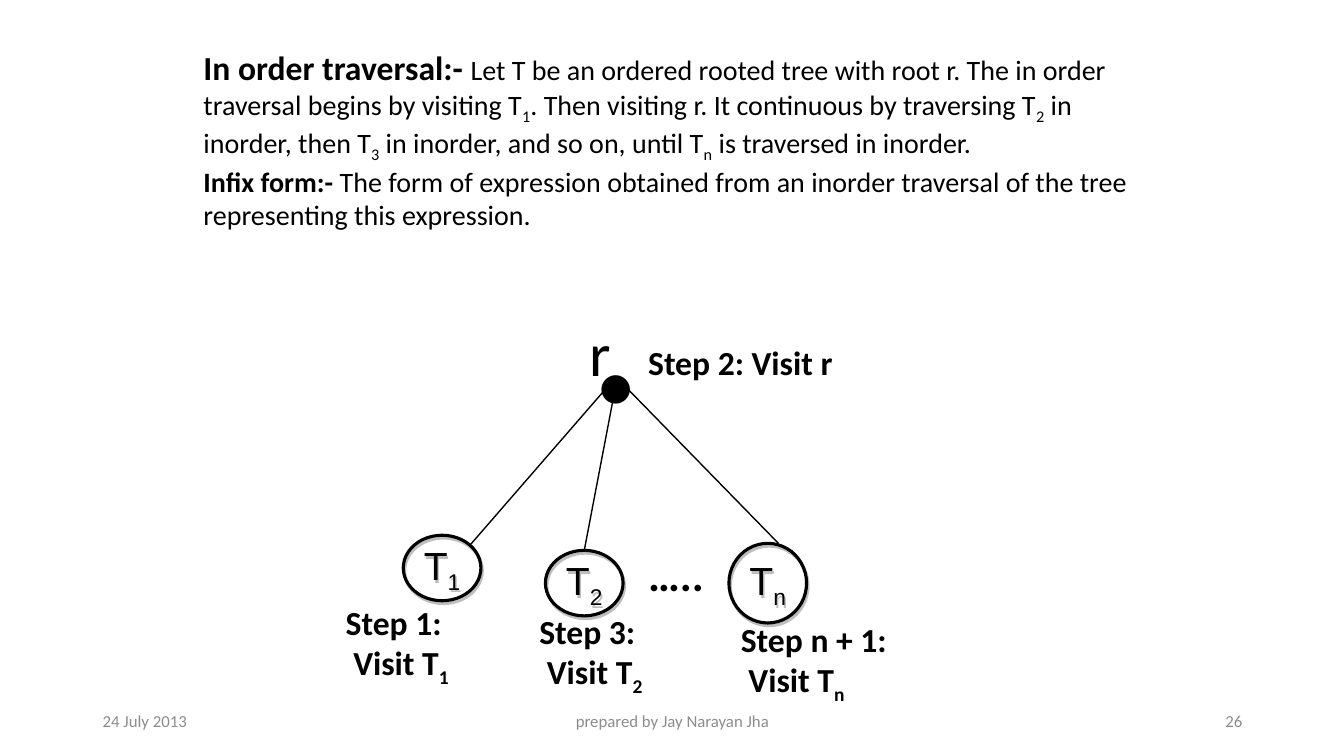
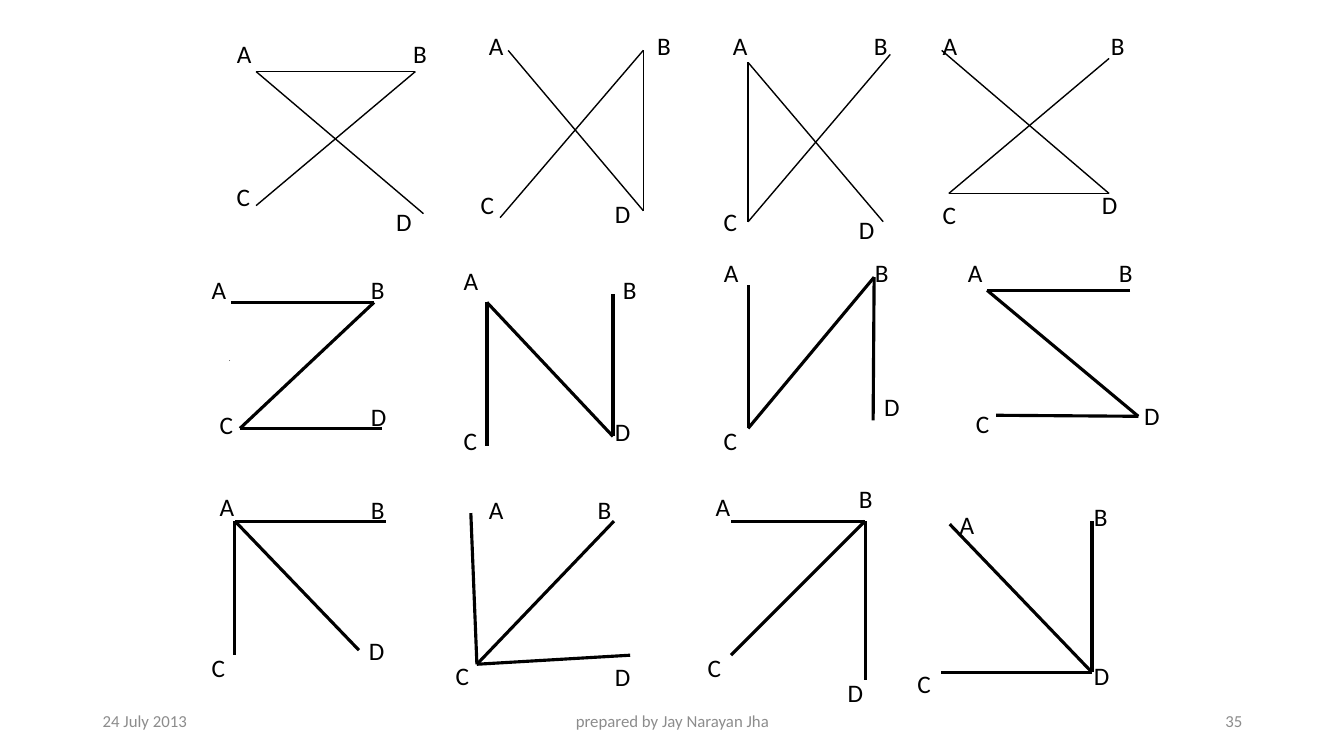
from pptx import Presentation
from pptx.dml.color import RGBColor
from pptx.enum.shapes import MSO_CONNECTOR, MSO_SHAPE
from pptx.enum.text import MSO_ANCHOR, MSO_AUTO_SIZE, PP_ALIGN
from pptx.oxml import parse_xml
from pptx.oxml.ns import nsdecls, qn
from pptx.util import Inches, Pt
from lxml import etree

COLORS = {"ink": "000000", "footer": "8C8C8C", "shadow": "7F7F7F"}
FONT = "Calibri"


def write_text(shape, text, size=18, bold=False, color="ink", font=FONT, align=PP_ALIGN.LEFT,
               anchor=MSO_ANCHOR.TOP, wrap=False, fit=True, inset=None, spacing=None, leads=()):
    """Newlines split paragraphs, ~ encloses subscripts, leads are bold openings."""
    frame = shape.text_frame
    frame.word_wrap = wrap
    frame.auto_size = MSO_AUTO_SIZE.SHAPE_TO_FIT_TEXT if fit else MSO_AUTO_SIZE.NONE
    frame.vertical_anchor = anchor
    if inset is not None:
        frame.margin_left = frame.margin_right = Inches(inset)
        frame.margin_top = frame.margin_bottom = Inches(inset)
    for index, line in enumerate(text.split("\n")):
        paragraph = frame.paragraphs[0] if index == 0 else frame.add_paragraph()
        paragraph.alignment = align
        if spacing:
            paragraph.line_spacing = spacing
        pieces = [(part, size, bold, position % 2) for position, part in enumerate(line.split("~"))]
        if leads:
            pieces.insert(0, (*leads[index], True, 0))
        for part, run_size, run_bold, subscript in pieces:
            if not part:
                continue
            run = paragraph.add_run()
            run.text = part
            run.font.name = font
            run.font.size = Pt(run_size)
            run.font.bold = run_bold
            run.font.color.rgb = RGBColor.from_string(COLORS[color])
            if subscript:
                run.font._element.set("baseline", "-25000")


def draw_line(slide, start, end, width):
    connector = slide.shapes.add_connector(
        MSO_CONNECTOR.STRAIGHT, *[Inches(value) for value in (*start, *end)])
    connector.line.color.rgb = RGBColor.from_string(COLORS["ink"])
    connector.line.width = Pt(width)
    etree.SubElement(connector._element.spPr, qn("a:effectLst"))
    return connector


presentation = Presentation()
presentation.slide_width = Inches(13.33)
presentation.slide_height = Inches(7.5)
traversal_slide = presentation.slides.add_slide(presentation.slide_layouts[6])
graphs_slide = presentation.slides.add_slide(presentation.slide_layouts[5])

# Footers on both slides
for slide, number in ((traversal_slide, "26"), (graphs_slide, "35")):
    for text, left, width, align in (
        ("24 July 2013", 0.92, 3, PP_ALIGN.LEFT),
        ("prepared by Jay Narayan Jha", 4.42, 4.5, PP_ALIGN.CENTER),
        (number, 9.42, 3, PP_ALIGN.RIGHT),
    ):
        box = slide.shapes.add_textbox(Inches(left), Inches(6.95), Inches(width), Inches(0.4))
        write_text(box, text, size=12, color="footer", align=align,
                   anchor=MSO_ANCHOR.MIDDLE, wrap=True, fit=False)

# Slide 1: definition
box = traversal_slide.shapes.add_textbox(Inches(1.92), Inches(0.42), Inches(9.5), Inches(2.15))
write_text(
    box,
    "Let T be an ordered rooted tree with root r. The in order traversal begins by visiting T~1~. "
    "Then visiting r. It continuous by traversing T~2~ in inorder, then T~3~ in inorder, "
    "and so on, until T~n~ is traversed in inorder.\n"
    "The form of expression obtained from an inorder traversal of the tree "
    "representing this expression.",
    size=20, wrap=True, leads=(("In order traversal:- ", 24), ("Infix form:- ", 20)))

# Slide 1: root and free labels
for text, left, top, width, height, size, bold in (
    ("●", 5.83, 3.38, 0.58, 0.84, 44, False),
    ("r", 5.75, 3.08, 0.41, 0.84, 44, False),
    ("Step 2: Visit r", 6.33, 3.34, 2.05, 0.5, 24, True),
    ("…..", 6.33, 5.37, 0.76, 0.64, 32, True),
):
    box = traversal_slide.shapes.add_textbox(
        Inches(left), Inches(top), Inches(width), Inches(height))
    write_text(box, text, size=size, bold=bold)

# Slide 1: subtrees with their branches and steps
SHADOW = (
    f'<a:effectLst {nsdecls("a")}><a:outerShdw blurRad="0" dist="27940" dir="3780000" algn="ctr" '
    f'rotWithShape="0"><a:srgbClr val="{COLORS["shadow"]}"><a:alpha val="50000"/></a:srgbClr>'
    '</a:outerShdw></a:effectLst>')
for name, step, left, top, height, branch_top, branch_end, step_at, step_width in (
    ("1", "1", 4, 5.31, 0.65, 3.74, (4.66, 5.41), (3.33, 5.92), 1.25),
    ("2", "3", 5.41, 5.46, 0.65, 3.81, (5.79, 5.46), (5.25, 6.01), 1.25),
    ("n", "n + 1", 7.23, 5.39, 0.79, 3.74, (7.72, 5.39), (7.25, 6.09), 1.66),
):
    subtree = traversal_slide.shapes.add_shape(
        MSO_SHAPE.OVAL, Inches(left), Inches(top), Inches(0.77), Inches(height))
    subtree.fill.background()
    subtree.line.color.rgb = RGBColor.from_string(COLORS["ink"])
    subtree.line.width = Pt(2.25)
    subtree._element.spPr.append(parse_xml(SHADOW))
    write_text(subtree, f"T~{name}~", size=28, font="Arial", align=PP_ALIGN.CENTER,
               anchor=MSO_ANCHOR.MIDDLE, wrap=True, fit=False, inset=0.01)
    branch = draw_line(traversal_slide, (6.11, branch_top), branch_end, 1)
    if name == "2":
        branch.end_connect(subtree, 0)
    box = traversal_slide.shapes.add_textbox(
        *[Inches(value) for value in (*step_at, step_width, 0.91)])
    write_text(box, f"Step {step}:\n Visit T~{name}~", size=24, bold=True)

# Slide 2: title
title = graphs_slide.shapes.title
title.left, title.top, title.width, title.height = [
    Inches(value) for value in (2.17, 0.3, 9.17, 6.53)]
write_text(title, ".", size=5, anchor=MSO_ANCHOR.MIDDLE, wrap=True, fit=False, spacing=0.9)

# Slide 2: spanning trees as (edges, points A to D, label corners A to D)
TREES = (
    # Crossed trees
    ("CB BA AD", ((2.54, 0.71), (4.12, 0.71), (2.54, 2.04), (4.2, 2.12)),
     ((2.25, 0.33), (4, 0.33), (2.25, 1.75), (3.83, 2))),
    ("AD DB BC", ((5.04, 0.5), (6.38, 0.5), (4.96, 2.16), (6.38, 2.09)),
     ((4.75, 0.25), (6.42, 0.25), (4.67, 1.83), (6, 1.92))),
    ("DA AC CB", ((7.42, 0.62), (8.83, 0.54), (7.42, 2.2), (8.76, 2.2)),
     ((7.17, 0.25), (8.57, 0.25), (7.08, 2), (8.42, 2.08))),
    ("BC CD DA", ((9.34, 0.5), (11, 0.58), (9.41, 1.92), (11, 1.92)),
     ((9.25, 0.25), (10.92, 0.25), (9.25, 1.93), (10.83, 1.83))),
    # Zigzag trees
    ("AB BC CD", ((2.29, 3), (3.71, 3), (2.38, 4.25), (3.79, 4.25)),
     ((2, 2.67), (3.58, 2.67), (2.08, 4.01), (3.58, 3.93))),
    ("CA AD DB", ((4.83, 3), (6.08, 2.92), (4.83, 4.42), (6.08, 4.33)),
     ((4.5, 2.58), (6.08, 2.67), (4.5, 4.17), (6, 4.08))),
    ("AC CB BD", ((7.42, 2.83), (8.67, 2.75), (7.42, 4.25), (8.66, 4.17)),
     ((7.08, 2.5), (8.58, 2.5), (7.08, 4.17), (8.67, 3.83))),
    ("BA AD DC", ((9.79, 2.88), (11.21, 2.88), (9.88, 4.12), (11.29, 4.13)),
     ((9.5, 2.5), (11, 2.5), (9.58, 4), (11.25, 3.92))),
    # Star trees
    ("AB AC AD", ((2.33, 5.17), (3.83, 5.17), (2.33, 6.5), (3.56, 6.45)),
     ((2.08, 4.83), (3.58, 4.85), (2, 6.42), (3.56, 6.25))),
    ("CA CB CD", ((4.67, 5.09), (6.09, 5.17), (4.73, 6.59), (6.25, 6.5)),
     ((4.75, 4.85), (5.83, 4.85), (4.42, 6.5), (6, 6.51))),
    ("BA BC BD", ((7.25, 5.17), (8.58, 5.17), (7.25, 6.5), (8.58, 6.75)),
     ((7, 4.83), (8.42, 4.75), (6.92, 6.42), (8.31, 6.67))),
    ("DA DB DC", ((9.42, 5.2), (10.83, 5.17), (9.33, 6.67), (10.83, 6.67)),
     ((9.42, 5), (10.75, 4.92), (9, 6.58), (10.75, 6.5))),
)
LABEL_WIDTHS = {"A": 0.35, "B": 0.34, "C": 0.34, "D": 0.36}
for index, (edges, points, corners) in enumerate(TREES):
    vertices = dict(zip(LABEL_WIDTHS, points))
    for start, end in edges.split():
        draw_line(graphs_slide, vertices[start], vertices[end], 1 if index < 4 else 2.25)
    for (letter, width), (left, top) in zip(LABEL_WIDTHS.items(), corners):
        box = graphs_slide.shapes.add_textbox(
            Inches(left), Inches(top), Inches(width), Inches(0.4))
        write_text(box, letter)

presentation.save("out.pptx")
